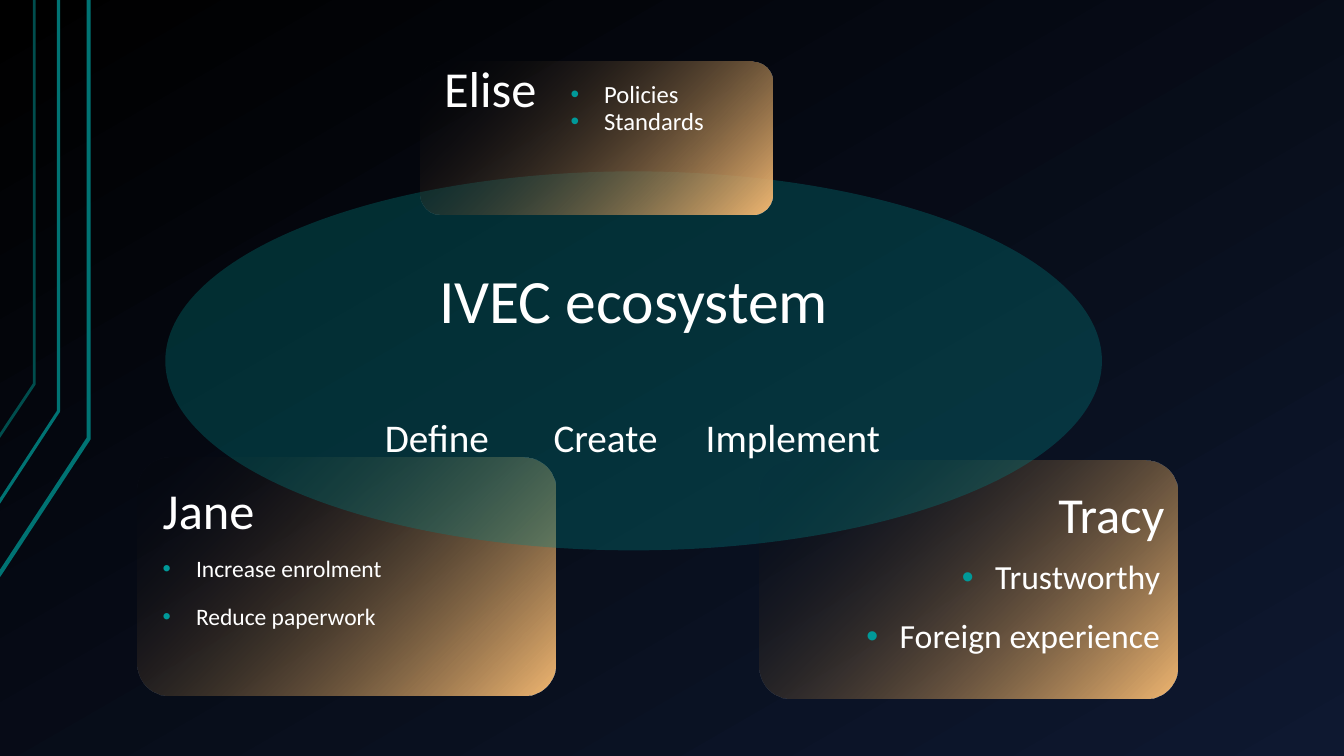
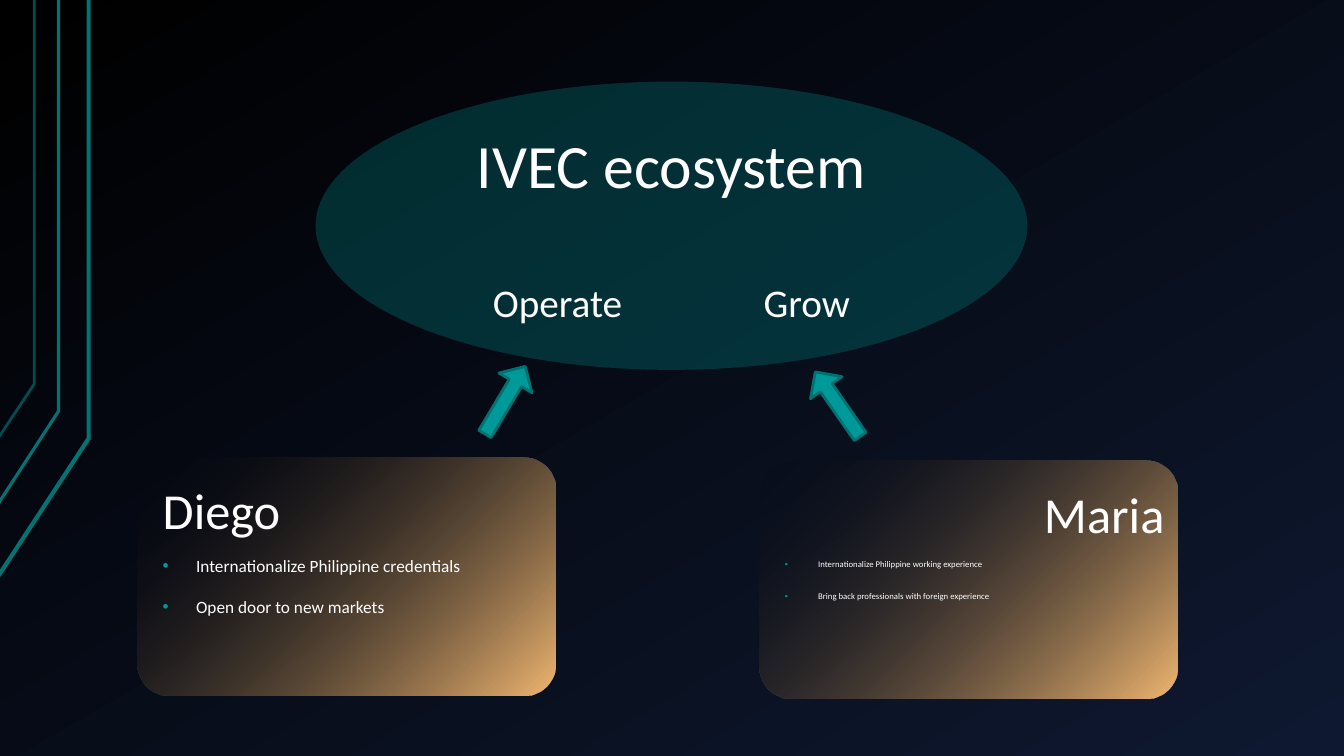
from pptx import Presentation
from pptx import util as u
from pptx.dml import color
from pptx.enum import shapes, text
from pptx.oxml import ns
from lxml import etree

WIDTH, HEIGHT = u.Inches(13.33), u.Inches(7.5)
FONT = "Calibri"
WHITE, TEAL, DEEP_TEAL, DIM_TEAL = "FFFFFF", "009999", "007373", "004D4D"
LEFT, CENTER, RIGHT = text.PP_ALIGN.LEFT, text.PP_ALIGN.CENTER, text.PP_ALIGN.RIGHT
TOP, MIDDLE, BOTTOM = text.MSO_ANCHOR.TOP, text.MSO_ANCHOR.MIDDLE, text.MSO_ANCHOR.BOTTOM
SIDE_PARTS = {"heading": (0.03, -0.19, 0.94, 0.57), "list": (0.03, 0.39, 0.94, 0.61)}
RIGHT_PARTS = {"heading": (0.06, -0.19, 0.94, 0.57), "list": (0.05, 0.39, 0.94, 0.61)}
MARIA_PARTS = RIGHT_PARTS | {"list": (0.03, 0.39, 0.97, 0.61)}
TOP_PARTS = {"heading": (0.03, -0.26, 0.56, 0.68), "list": (0.39, 0.09, 0.73, 0.68)}
JANE_BOX, TRACY_BOX = (10.2, 60.53, 31.13, 31.47), (56.49, 60.93, 31.13, 31.47)


def rgb(code):
    """Turn a hex string into a colour."""
    return color.RGBColor.from_string(code)


def emu(box):
    """Turn a box in percent of the slide into slide lengths."""
    return [int(part * side / 100) for part, side in zip(box, (WIDTH, HEIGHT) * 2)]


def inside(box, shares):
    """Return the box that takes the given shares of another box."""
    left, top, width, height = box
    x, y, w, h = shares
    return left + x * width, top + y * height, w * width, h * height


def apply(target, values):
    """Set every attribute named in a dict."""
    for name, value in values.items():
        setattr(target, name, value)


def gradient(fill, start, end, angle):
    """Fill with a two-stop gradient running clockwise from the given angle."""
    fill.gradient()
    fill.gradient_angle = 360 - angle
    for stop, code, position in zip(fill.gradient_stops, (start, end), (0, 1)):
        stop.color.rgb = rgb(code)
        stop.position = position


def set_alpha(shape, percent):
    """Set the opacity of the first colour in a shape's fill."""
    first = next(shape._element.spPr.iter(ns.qn("a:srgbClr")))
    etree.SubElement(first, ns.qn("a:alpha"), val=str(percent * 1000))


def add_plain(slide, kind, box):
    """Add a preset shape without shadow or outline."""
    shape = slide.shapes.add_shape(kind, *emu(box))
    shape.shadow.inherit = False
    shape.line.fill.background()
    return shape


def bullet(paragraph):
    """Give a paragraph a teal bullet with a hanging indent."""
    props = paragraph._p.get_or_add_pPr()
    props.set("marL", str(u.Inches(0.33)))
    props.set("indent", str(-u.Inches(0.33)))
    tint = etree.SubElement(props, ns.qn("a:buClr"))
    etree.SubElement(tint, ns.qn("a:srgbClr"), val=TEAL)
    etree.SubElement(props, ns.qn("a:buFont"), typeface="Arial")
    etree.SubElement(props, ns.qn("a:buChar"), char="•")


def write(slide, holder, box, lines, size, align=LEFT, anchor=TOP, spacing=0.9,
          gap=0, bulleted=False):
    """Put lines in a placeholder, or in a new text box, on top of the slide."""
    holder = holder or slide.shapes.add_textbox(*emu(box))
    slide.shapes._spTree.append(holder._element)
    apply(holder, dict(zip(("left", "top", "width", "height"), emu(box))))
    frame = holder.text_frame
    frame.text = "\n".join(lines)
    apply(frame, {"word_wrap": True, "auto_size": text.MSO_AUTO_SIZE.NONE,
                  "vertical_anchor": anchor,
                  "margin_left": u.Inches(0.13), "margin_right": u.Inches(0.13),
                  "margin_top": u.Inches(0.07), "margin_bottom": u.Inches(0.07)})
    for paragraph in frame.paragraphs:
        apply(paragraph, {"alignment": align, "line_spacing": spacing,
                          "space_before": u.Pt(gap)})
        if bulleted:
            bullet(paragraph)
        for run in paragraph.runs:
            apply(run.font, {"name": FONT, "size": u.Pt(size), "bold": False})
            run.font.color.rgb = rgb(WHITE)


def add_card(slide, box, parts, name, points, size, align=LEFT, list_align=LEFT,
             gap=16, holders=(None, None)):
    """Draw a person's card with a heading and a bulleted list."""
    card = add_plain(slide, shapes.MSO_SHAPE.ROUNDED_RECTANGLE, box)
    card.adjustments[0] = 0.134
    gradient(card.fill, "020409", "F2B872", 45)
    set_alpha(card, 0)
    heading, points_list = holders
    write(slide, heading, inside(box, parts["heading"]), [name], 36, align, BOTTOM)
    write(slide, points_list, inside(box, parts["list"]), points, size, list_align,
          gap=gap, bulleted=True)


def add_ecosystem(slide, box, stages):
    """Draw the ellipse with the slide title and its stages, placed by centre share."""
    ellipse = add_plain(slide, shapes.MSO_SHAPE.OVAL, box)
    ellipse.fill.solid()
    ellipse.fill.fore_color.rgb = rgb("008383")
    set_alpha(ellipse, 32)
    left, top, width, height = box
    middle = top + height / 2
    write(slide, slide.shapes.title, (left, middle - 14.2, width, 12), ["IVEC ecosystem"],
          44, CENTER, MIDDLE, 1)
    for stage, share in stages.items():
        write(slide, None, (left + share * width - 10, middle + 5, 20, 10), [stage],
              28, CENTER, MIDDLE, 1)


def add_arrow(slide, corner, rotation):
    """Draw a block arrow pointing at the ecosystem."""
    arrow = add_plain(slide, shapes.MSO_SHAPE.RIGHT_ARROW, (*corner, 5.85, 5.07))
    arrow.rotation = rotation
    arrow.adjustments[0] = 0.374
    arrow.fill.solid()
    arrow.fill.fore_color.rgb = rgb(TEAL)
    arrow.line.color.rgb = rgb("007171")
    arrow.line.width = u.Pt(2)


def style_master(prs, slide):
    """Give the master its background and the three bent lines on the left."""
    master = prs.slide_master
    gradient(master.background.fill, "000000", "0E1830", 60)
    for x, bend, foot, tint, weight in ((6.6, 58, 76.13, DEEP_TEAL, 3),
                                        (4.35, 54.4, 66.53, DEEP_TEAL, 2.25),
                                        (2.55, 50.8, 57.87, DIM_TEAL, 2)):
        start, *rest = [tuple(emu(point)) for point in ((-0.1, foot), (x, bend), (x, 0))]
        builder = slide.shapes.build_freeform(*start)
        builder.add_line_segments(rest, close=False)
        strand = builder.convert_to_shape()
        strand.shadow.inherit = False
        strand.fill.background()
        strand.line.color.rgb = rgb(tint)
        strand.line.width = u.Pt(weight)
        master.shapes._spTree.append(strand._element)


def add_pair(slide, left_card, right_card):
    """Place the two lower cards in the placeholders of the layout."""
    holders = {h.placeholder_format.idx: h for h in slide.placeholders}
    add_card(slide, JANE_BOX, SIDE_PARTS, holders=(holders[1], holders[2]), **left_card)
    add_card(slide, TRACY_BOX, align=RIGHT, holders=(holders[3], holders[4]), **right_card)


def build_founding(slide):
    """Build the slide on defining, creating and implementing."""
    add_pair(slide,
             {"name": "Jane", "points": ["Increase enrolment", "Reduce paperwork"],
              "size": 16.8},
             {"name": "Tracy", "points": ["Trustworthy", "Foreign experience"],
              "size": 24.1, "parts": RIGHT_PARTS, "list_align": RIGHT})
    add_ecosystem(slide, (12.3, 22.67, 69.69, 50.13),
                  {"Define": 0.29, "Create": 0.47, "Implement": 0.67})
    add_card(slide, (31.28, 8.13, 26.18, 20.27), TOP_PARTS, "Elise",
             ["Policies", "Standards"], 17.6, gap=0)


def build_growth(slide):
    """Build the slide on operating and growing."""
    add_pair(slide,
             {"name": "Diego", "size": 12.3,
              "points": ["Internationalize Philippine credentials",
                         "Open door to new markets"]},
             {"name": "Maria", "size": 6.2, "parts": MARIA_PARTS,
              "points": ["Internationalize Philippine working experience",
                         "Bring back professionals with foreign experience"]})
    add_ecosystem(slide, (23.48, 10.8, 52.96, 38.13), {"Operate": 0.34, "Grow": 0.69})
    add_arrow(slide, (34.66, 50.4), 300.8)
    add_arrow(slide, (59.41, 50.93), 235.2)


def main():
    """Build and save the presentation."""
    prs = Presentation()
    prs.slide_width, prs.slide_height = WIDTH, HEIGHT
    comparison = prs.slide_layouts.get_by_name("Comparison")
    founding, growth = [prs.slides.add_slide(comparison) for _ in range(2)]
    style_master(prs, founding)
    build_founding(founding)
    build_growth(growth)
    prs.save("out.pptx")


if __name__ == "__main__":
    main()
